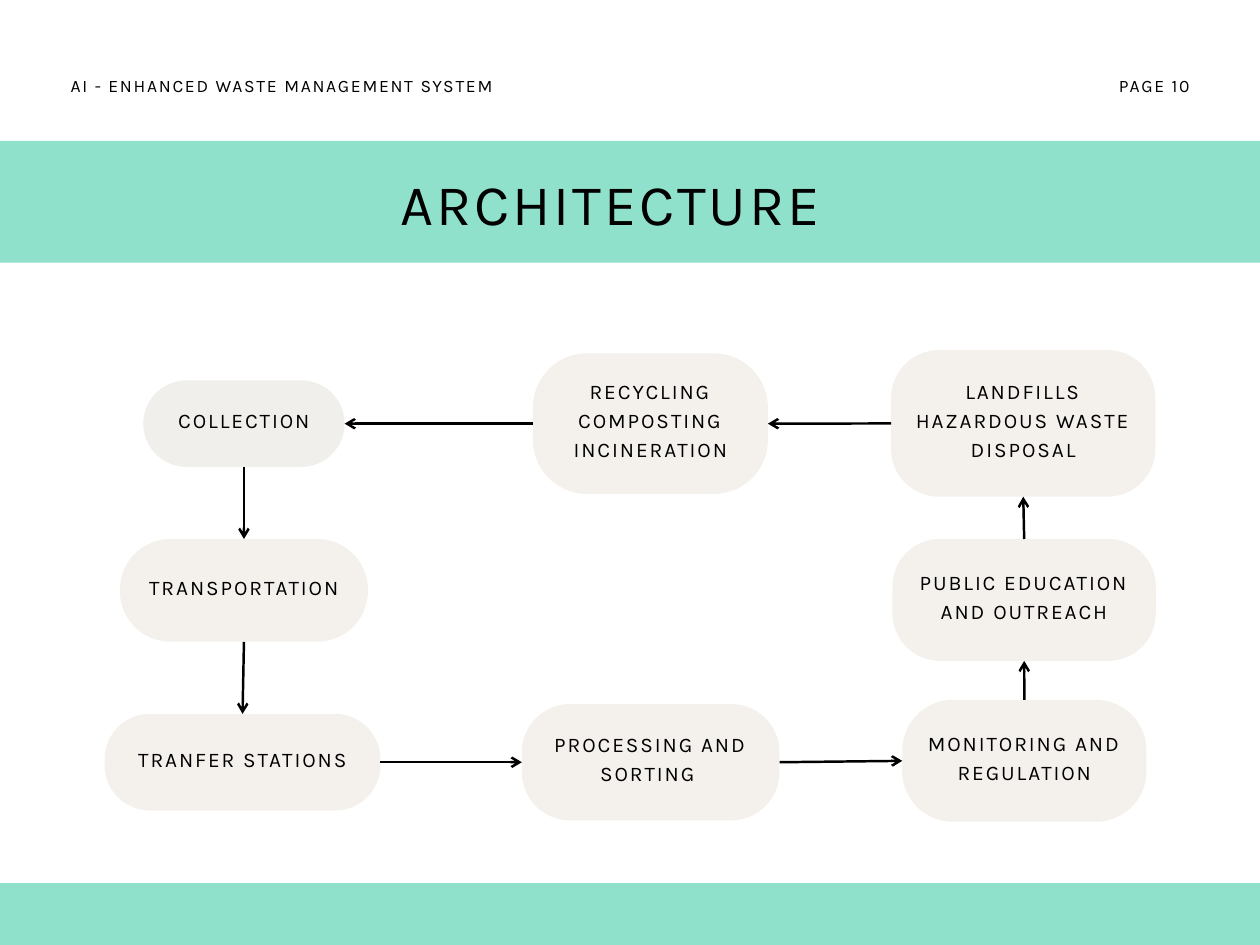
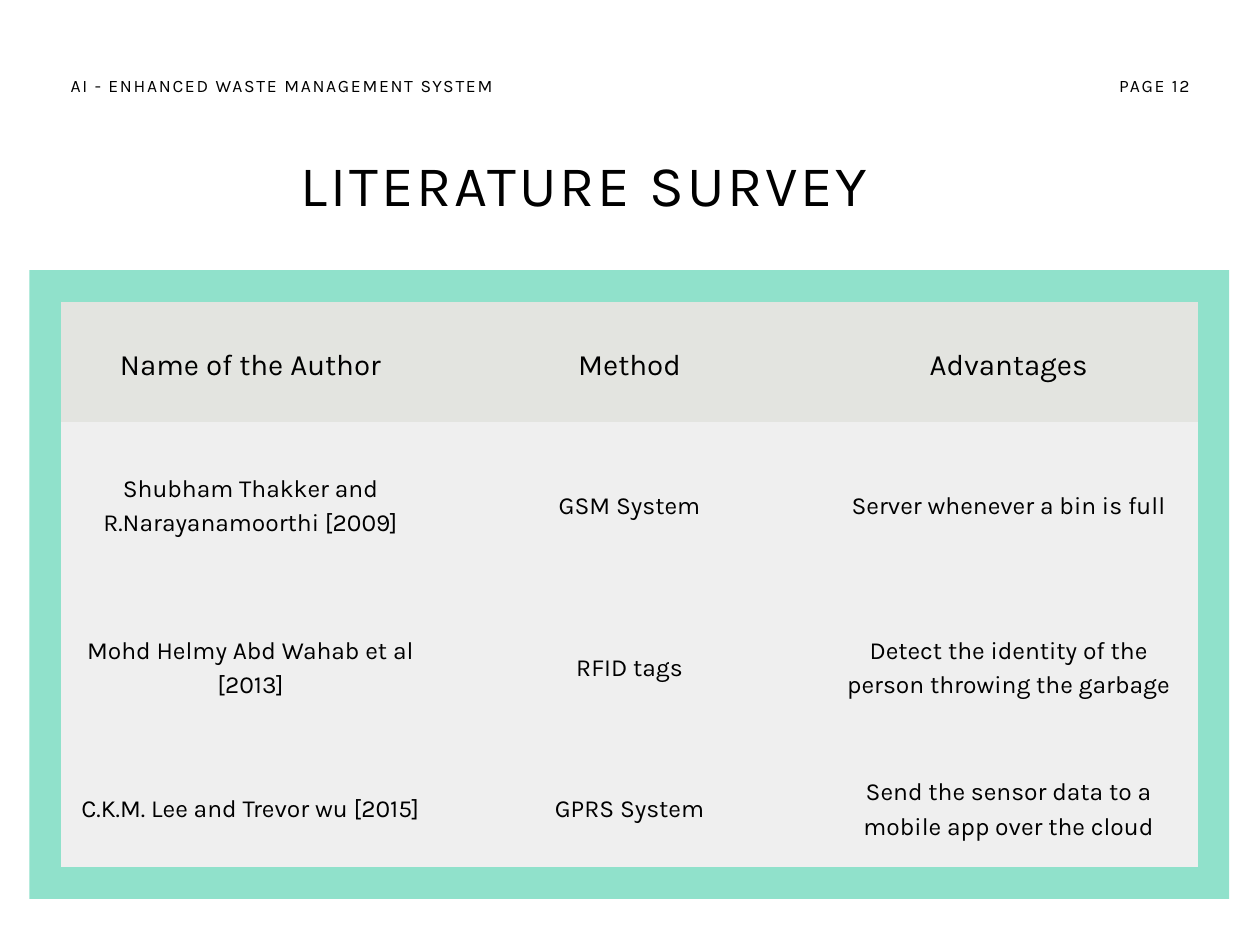
from lxml import etree
from pptx import Presentation
from pptx.dml.color import RGBColor
from pptx.enum.shapes import MSO_CONNECTOR, MSO_SHAPE
from pptx.enum.text import MSO_ANCHOR, PP_ALIGN
from pptx.oxml.ns import qn
from pptx.util import Cm, Pt

FONT = "Karla"
BLACK = RGBColor(0x00, 0x00, 0x00)
MINT = RGBColor(0x90, 0xE1, 0xCB)
CREAM = RGBColor(0xF4, 0xF1, 0xED)
PALE_CREAM = RGBColor(0xF1, 0xEF, 0xEC)
HEADER_GREY = RGBColor(0xE3, 0xE4, 0xE0)
BODY_GREY = RGBColor(0xEF, 0xEF, 0xEF)
NO_TABLE_STYLE = "{2D5ABB26-0587-4C30-8999-92F81FD0307C}"
TOP, LEFT, BOTTOM, RIGHT = range(4)


def write(frame, text, size, leading, tracking=0, align=PP_ALIGN.CENTER, margins=(0, 0, 0, 0)):
    frame.word_wrap = True
    frame.margin_left, frame.margin_top, frame.margin_right, frame.margin_bottom = map(Cm, margins)
    paragraph = frame.paragraphs[0]
    paragraph.alignment = align
    paragraph.line_spacing = Pt(leading)
    paragraph.font.name = FONT
    paragraph.font.size = Pt(size)
    paragraph.font.color.rgb = BLACK
    run = paragraph.add_run()
    run.text = text
    if tracking:
        run._r.get_or_add_rPr().set("spc", str(round(tracking * 100)))


def add_block(slide, kind, box, color):
    block = slide.shapes.add_shape(kind, *map(Cm, box))
    block.shadow.inherit = False
    block.fill.solid()
    block.fill.fore_color.rgb = color
    block.line.fill.background()
    return block


deck = Presentation()
deck.slide_width = Cm(27.09)
deck.slide_height = Cm(20.32)

pages = [
    ("PAGE 10", "ARCHITECTURE", (8.61, 3.37, 10.74, 1.7),
     [(0, 3.03, 27.09, 2.62), (0, 18.99, 27.09, 3.2)]),
    ("PAGE 12", "LITERATURE SURVEY", (6.47, 2.95, 14.15, 1.7),
     [(0.63, 5.81, 25.8, 13.52)]),
]
slides = []
for page, title, title_box, bands in pages:
    slide = deck.slides.add_slide(deck.slide_layouts[6])
    slides.append(slide)
    for band in bands:
        add_block(slide, MSO_SHAPE.RECTANGLE, band, MINT)
    for text, box, size, leading, tracking, align in [
        (title, title_box, 35, 49, 1.75, PP_ALIGN.LEFT),
        (page, (18.75, 1.54, 6.83, 0.51), 10.7, 14.9, 1.05, PP_ALIGN.RIGHT),
        ("AI - ENHANCED WASTE MANAGEMENT SYSTEM", (1.52, 1.54, 10.74, 0.51),
         10.7, 14.9, 1.05, PP_ALIGN.LEFT),
    ]:
        label = slide.shapes.add_textbox(*map(Cm, box))
        write(label.text_frame, text, size, leading, tracking, align)

architecture, survey = slides

stages = [
    ("COLLECTION", (3.08, 8.18, 4.33, 1.86), 0.93, PALE_CREAM, BOTTOM, TOP),
    ("TRANSPORTATION", (2.58, 11.59, 5.33, 2.21), 1.09, CREAM, BOTTOM, TOP),
    ("TRANFER STATIONS", (2.25, 15.35, 5.93, 2.08), 0.98, CREAM, RIGHT, LEFT),
    ("PROCESSING AND SORTING ", (11.22, 15.14, 5.54, 2.5), 1.04, CREAM, RIGHT, LEFT),
    ("MONITORING AND REGULATION", (19.4, 15.05, 5.25, 2.62), 1.09, CREAM, TOP, BOTTOM),
    ("PUBLIC EDUCATION AND OUTREACH", (19.19, 11.59, 5.66, 2.62), 1.02, CREAM, TOP, BOTTOM),
    ("LANDFILLS HAZARDOUS WASTE DISPOSAL", (19.16, 7.53, 5.68, 3.15), 1.03, CREAM, LEFT, RIGHT),
    ("RECYCLING COMPOSTING INCINERATION", (11.46, 7.6, 5.05, 3.02), 1.16, CREAM, LEFT, RIGHT),
]
stage_boxes = []
for text, box, radius, color, _, _ in stages:
    stage_box = add_block(architecture, MSO_SHAPE.ROUNDED_RECTANGLE, box, color)
    stage_box.adjustments[0] = min(0.5, radius / min(box[2:]))
    stage_box.text_frame.vertical_anchor = MSO_ANCHOR.MIDDLE
    write(stage_box.text_frame, text, 12.7, 17.7, 1.15, margins=(0, 0, 0, 0.22))
    stage_boxes.append(stage_box)

for index, (*_, exit_side, entry_side) in enumerate(stages):
    flow = architecture.shapes.add_connector(MSO_CONNECTOR.STRAIGHT, 0, 0, 0, 0)
    flow.begin_connect(stage_boxes[index], exit_side)
    flow.end_connect(stage_boxes[(index + 1) % len(stages)], entry_side)
    flow.line.color.rgb = BLACK
    flow.line.width = Pt(1.5)
    etree.SubElement(flow.line._get_or_add_ln(), qn("a:tailEnd"), type="arrow")
    etree.SubElement(flow._element.spPr, qn("a:effectLst"))

studies = [
    ("Name of the Author", "Method", "Advantages"),
    ("Shubham Thakker and R.Narayanamoorthi [2009]", "GSM System",
     "Server whenever a bin is full"),
    ("Mohd Helmy Abd Wahab et al [2013]", "RFID tags",
     "Detect the identity of the person throwing the garbage"),
    ("C.K.M. Lee and Trevor wu [2015]", "GPRS System",
     "Send the sensor data to a mobile app over the cloud"),
]
row_heights = [2.58, 3.49, 3.49, 2.58]
table = survey.shapes.add_table(
    len(studies), 3, Cm(1.31), Cm(6.5), Cm(24.45), Cm(sum(row_heights))).table
table.first_row = False
table.horz_banding = False
table._tbl.tblPr.find(qn("a:tableStyleId")).text = NO_TABLE_STYLE
for column in table.columns:
    column.width = Cm(8.15)
for row_index, (study, height) in enumerate(zip(studies, row_heights)):
    table.rows[row_index].height = Cm(height)
    size, leading, color = (15, 21, BODY_GREY) if row_index else (18, 25.2, HEADER_GREY)
    for column_index, text in enumerate(study):
        cell = table.cell(row_index, column_index)
        cell.fill.solid()
        cell.fill.fore_color.rgb = color
        cell.vertical_anchor = MSO_ANCHOR.MIDDLE
        write(cell.text_frame, text, size, leading)
        cell.margin_left = cell.margin_right = Cm(0.38)
        cell.margin_top = cell.margin_bottom = Cm(0.38)

deck.save("out.pptx")
